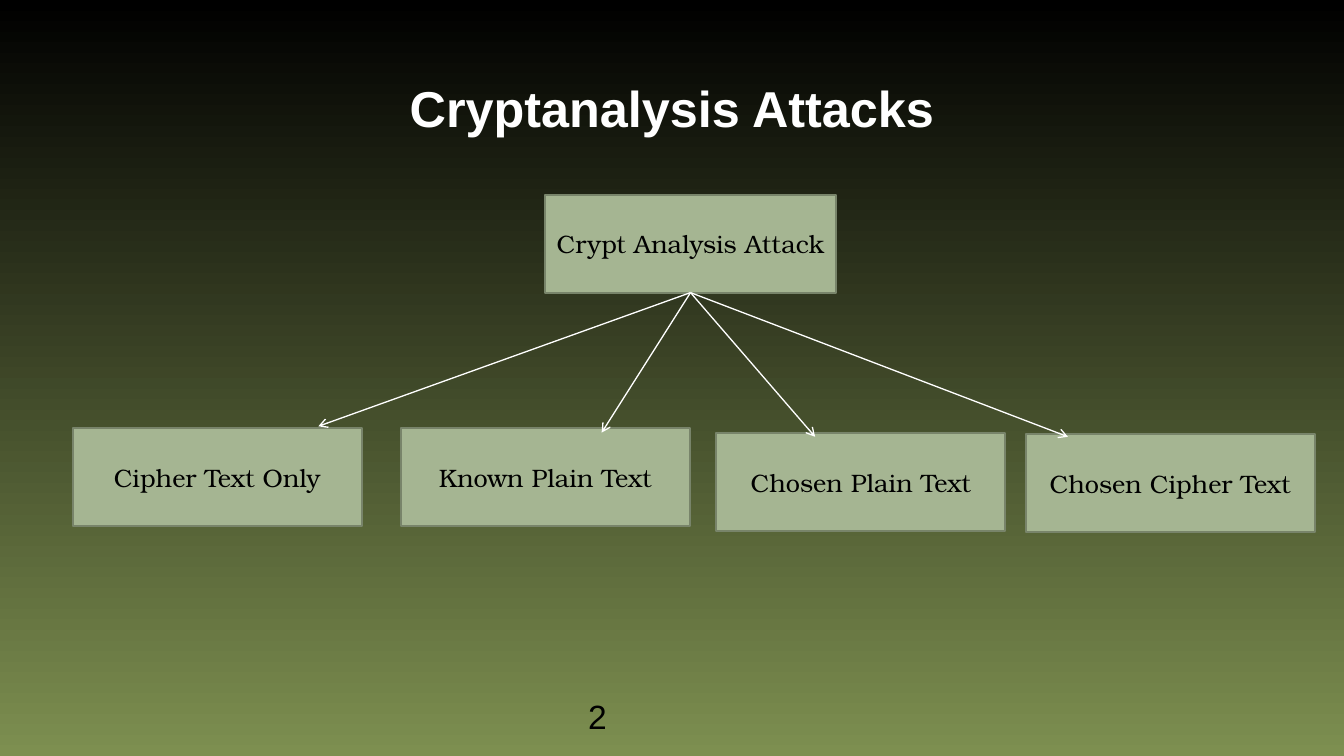
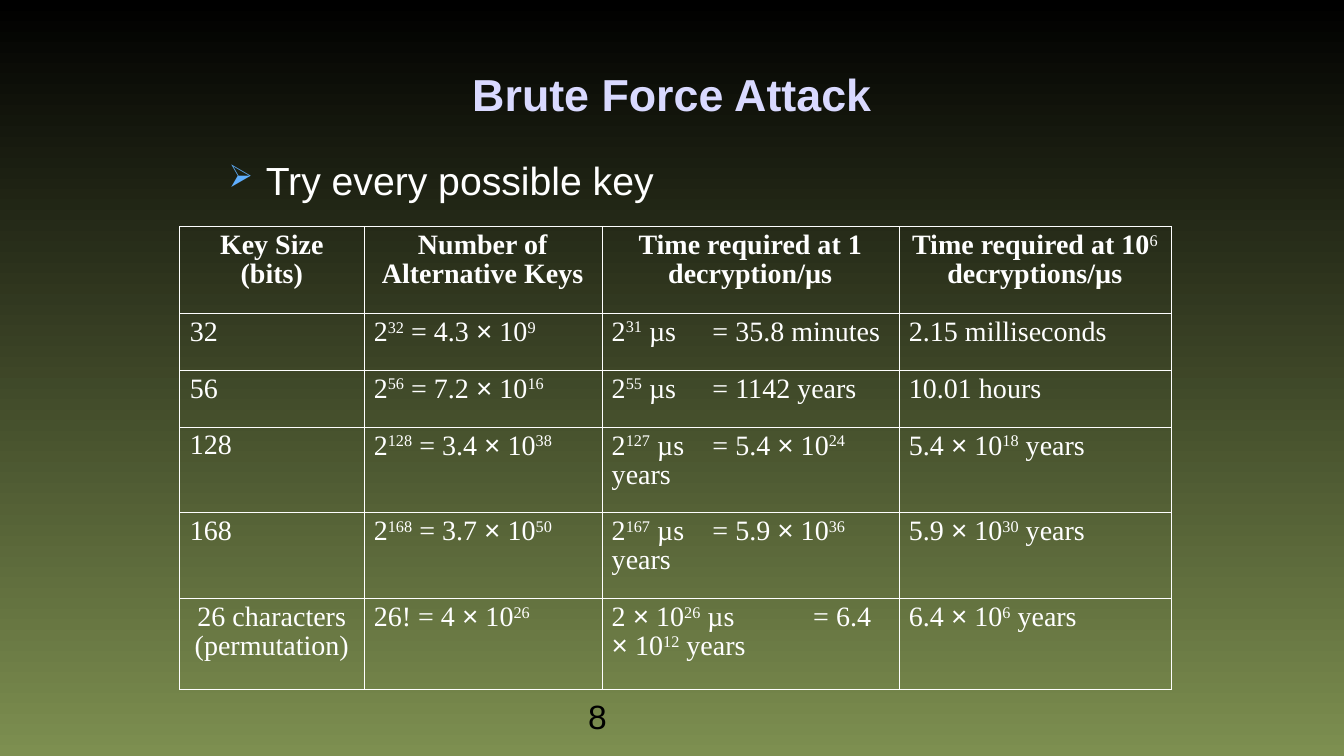
from dataclasses import dataclass
from itertools import groupby

from lxml import etree
from pptx import Presentation
from pptx import util as u
from pptx.dml.color import RGBColor
from pptx.enum import shapes, text
from pptx.oxml.ns import qn


@dataclass(frozen=True)
class Theme:
    top: str = "000000"
    bottom: str = "7D8F50"
    white: str = "FFFFFF"
    black: str = "000000"
    lavender: str = "D9D9FF"
    bullet: str = "5FAFFF"
    box: str = "A5B592"
    box_edge: str = "78846A"
    sans: str = "Arial"
    serif: str = "Times New Roman"
    label: str = "TeX Gyre Bonum"
    label_size: int = 18
    cell_size: int = 20
    number_size: int = 24
    body_size: int = 28


THEME = Theme()
CENTER = text.PP_ALIGN.CENTER
LEFT = text.PP_ALIGN.LEFT
TOP, MIDDLE, BOTTOM = (
    text.MSO_ANCHOR.TOP, text.MSO_ANCHOR.MIDDLE, text.MSO_ANCHOR.BOTTOM)

ROOT = ("Crypt Analysis Attack", (389.5, 139, 208, 70))
ATTACK_SIZE = (206.6, 70)
ATTACKS = [
    ("Cipher Text Only", (52, 306), (227.5, 304.5)),
    ("Known Plain Text", (286.5, 306), (430, 309)),
    ("Chosen Plain Text", (512, 309.5), (582.5, 312)),
    ("Chosen Cipher Text", (733, 310.3), (763.2, 312)),
]

KEY_TABLE = [
    ("Key Size (bits)", "Number of Alternative Keys",
     "Time required at 1 decryption/µs", "Time required at 10^6^ decryptions/µs"),
    ("32", "2^32^ = 4.3 × 10^9^", "2^31^ µs\t= 35.8 minutes", "2.15 milliseconds"),
    ("56", "2^56^ = 7.2 × 10^16^", "2^55^ µs\t= 1142 years", "10.01 hours"),
    ("128", "2^128^ = 3.4 × 10^38^", "2^127^ µs\t= 5.4 × 10^24^ years",
     "5.4 × 10^18^ years"),
    ("168", "2^168^ = 3.7 × 10^50^", "2^167^ µs\t= 5.9 × 10^36^ years",
     "5.9 × 10^30^ years"),
    ("26 characters (permutation)", "26! = 4 × 10^26^",
     "2 × 10^26^ µs\t= 6.4 × 10^12^ years", "6.4 × 10^6^ years"),
]
TABLE_ORIGIN = (128.5, 162)
COLUMN_WIDTHS = (131.5, 170, 212.4, 194.4)
ROW_HEIGHTS = (61.6, 40.6, 40.6, 61.2, 61.2, 65.5)
OUTER_RULE, INNER_RULE = 0.5, 0.23
NO_TABLE_STYLE = "{2D5ABB26-0587-4C30-8999-92F81FD0307C}"


def points(values):
    return [u.Pt(value) for value in values]


def color(value):
    return RGBColor.from_string(value)


def add_xml(parent, tag, **attributes):
    child = etree.SubElement(parent, qn(tag))
    for name, value in attributes.items():
        child.set(name, str(value))
    return child


def set_font(para, face, size, tint, bold=False):
    para.font.name = face
    para.font.size = u.Pt(size)
    para.font.bold = bold
    para.font.color.rgb = color(tint)


def write(frame, words, face, size, tint, bold=False, align=CENTER, anchor=MIDDLE):
    frame.word_wrap = True
    frame.vertical_anchor = anchor
    para = frame.paragraphs[0]
    para.alignment = align
    para.add_run().text = words
    set_font(para, face, size, tint, bold)


def add_text(page, place, words, *style, **options):
    frame = page.shapes.add_textbox(*points(place)).text_frame
    write(frame, words, *style, **options)


def add_page(deck, title, title_height, title_size, title_color, number):
    page = deck.slides.add_slide(deck.slide_layouts[6])
    add_text(page, (156.24, 21.6, 648, title_height), title,
             THEME.sans, title_size, title_color, True)
    add_text(page, (67, 500.4, 720, 28.8), number,
             THEME.sans, THEME.number_size, THEME.black, anchor=BOTTOM)
    return page


def add_box(page, words, place):
    box = page.shapes.add_shape(shapes.MSO_SHAPE.RECTANGLE, *points(place))
    box.shadow.inherit = False
    box.fill.solid()
    box.fill.fore_color.rgb = color(THEME.box)
    box.line.color.rgb = color(THEME.box_edge)
    box.line.width = u.Pt(1.5)
    write(box.text_frame, words, THEME.label, THEME.label_size, THEME.black)
    return box


def add_arrow(page, box, tip):
    start = (box.left + box.width // 2, box.top + box.height)
    arrow = page.shapes.add_connector(
        shapes.MSO_CONNECTOR.STRAIGHT, *start, *points(tip))
    arrow.begin_connect(box, 2)
    arrow.line.color.rgb = color(THEME.white)
    arrow.line.width = u.Pt(0.94)
    properties = arrow._element.spPr
    add_xml(properties.find(qn("a:ln")), "a:tailEnd", type="arrow")
    add_xml(properties, "a:effectLst")


def add_bullet(page, place, words):
    frame = page.shapes.add_textbox(*points(place)).text_frame
    frame.word_wrap = True
    para = frame.paragraphs[0]
    para.add_run().text = words
    para.line_spacing = 0.9
    para.space_before = u.Pt(7)
    properties = para._p.get_or_add_pPr()
    indent = u.Pt(26.64)
    properties.set("marL", str(indent))
    properties.set("indent", str(-indent))
    add_xml(add_xml(properties, "a:buClr"), "a:srgbClr", val=THEME.bullet)
    add_xml(properties, "a:buSzPct", val=80000)
    add_xml(properties, "a:buChar", char="➢")
    set_font(para, THEME.sans, THEME.body_size, THEME.white)


def add_borders(cell, row, column):
    outer = {
        "a:lnL": column == 0,
        "a:lnR": column == len(COLUMN_WIDTHS) - 1,
        "a:lnT": row == 0,
        "a:lnB": row == len(ROW_HEIGHTS) - 1,
    }
    properties = cell._tc.get_or_add_tcPr()
    for tag, is_outer in outer.items():
        width = u.Pt(OUTER_RULE if is_outer else INNER_RULE)
        line = add_xml(properties, tag, w=width)
        add_xml(add_xml(line, "a:solidFill"), "a:srgbClr", val=THEME.white)


def fill_cell(cell, words, align, bold):
    para = cell.text_frame.paragraphs[0]
    para.alignment = align
    para.line_spacing = 0.93
    para.space_before = para.space_after = u.Pt(3)
    tabs = add_xml(para._p.get_or_add_pPr(), "a:tabLst")
    for stop in (72, 144):
        add_xml(tabs, "a:tab", pos=u.Pt(stop), algn="l")
    set_font(para, THEME.serif, THEME.cell_size, THEME.white, bold)
    for index, part in enumerate(words.split("^")):
        for is_times, letters in groupby(part, lambda letter: letter == "×"):
            span = para.add_run()
            span.text = "".join(letters)
            if is_times:
                span.font.name = THEME.sans
            if index % 2:
                span.font.bold = False
                span.font._element.set("baseline", "30000")


def add_key_table(page):
    size = (sum(COLUMN_WIDTHS), sum(ROW_HEIGHTS))
    table = page.shapes.add_table(
        len(ROW_HEIGHTS), len(COLUMN_WIDTHS), *points(TABLE_ORIGIN + size)).table
    table.first_row = table.horz_banding = False
    table._tbl.tblPr.find(qn("a:tableStyleId")).text = NO_TABLE_STYLE
    for column, width in zip(table.columns, COLUMN_WIDTHS):
        column.width = u.Pt(width)
    for row, (height, entries) in enumerate(zip(ROW_HEIGHTS, KEY_TABLE)):
        table.rows[row].height = u.Pt(height)
        for column, words in enumerate(entries):
            cell = table.cell(row, column)
            header = row == 0
            last_key = row == len(KEY_TABLE) - 1 and column == 0
            add_borders(cell, row, column)
            cell.fill.background()
            cell.vertical_anchor = TOP
            fill_cell(cell, words, CENTER if header or last_key else LEFT, header)


def set_background(master):
    fill = master.background.fill
    fill.gradient()
    fill.gradient_angle = 270
    for stop, position, tint in zip(
            fill.gradient_stops, (0, 1), (THEME.top, THEME.bottom)):
        stop.position = position
        stop.color.rgb = color(tint)


def main():
    deck = Presentation()
    deck.slide_width, deck.slide_height = points((960.48, 540))
    set_background(deck.slide_master)

    page = add_page(deck, "Cryptanalysis Attacks", 110.16, 36, THEME.white, "2")
    root = add_box(page, *ROOT)
    for words, corner, tip in ATTACKS:
        add_box(page, words, corner + ATTACK_SIZE)
        add_arrow(page, root, tip)

    page = add_page(deck, "Brute Force Attack", 90, 32, THEME.lavender, "8")
    add_bullet(page, (156.24, 111.6, 648, 164), "Try every possible key")
    add_key_table(page)

    deck.save("out.pptx")


if __name__ == "__main__":
    main()
